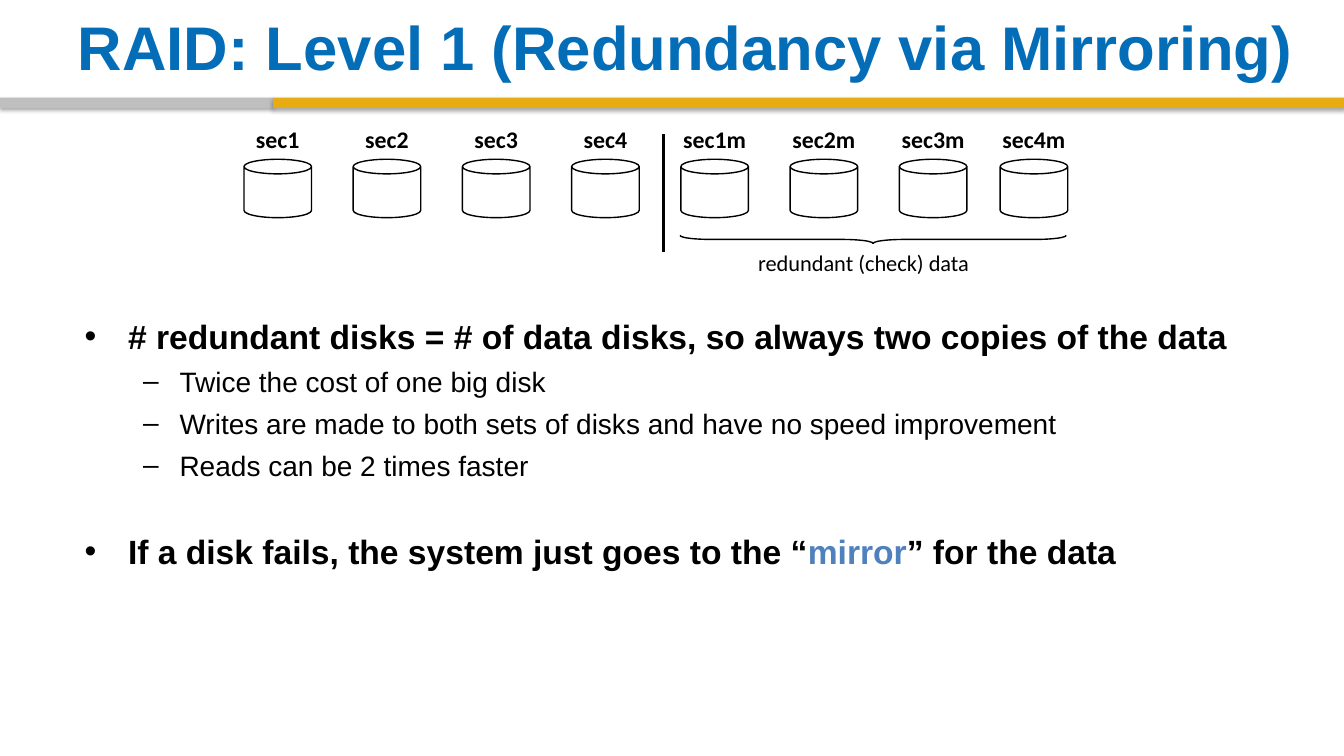
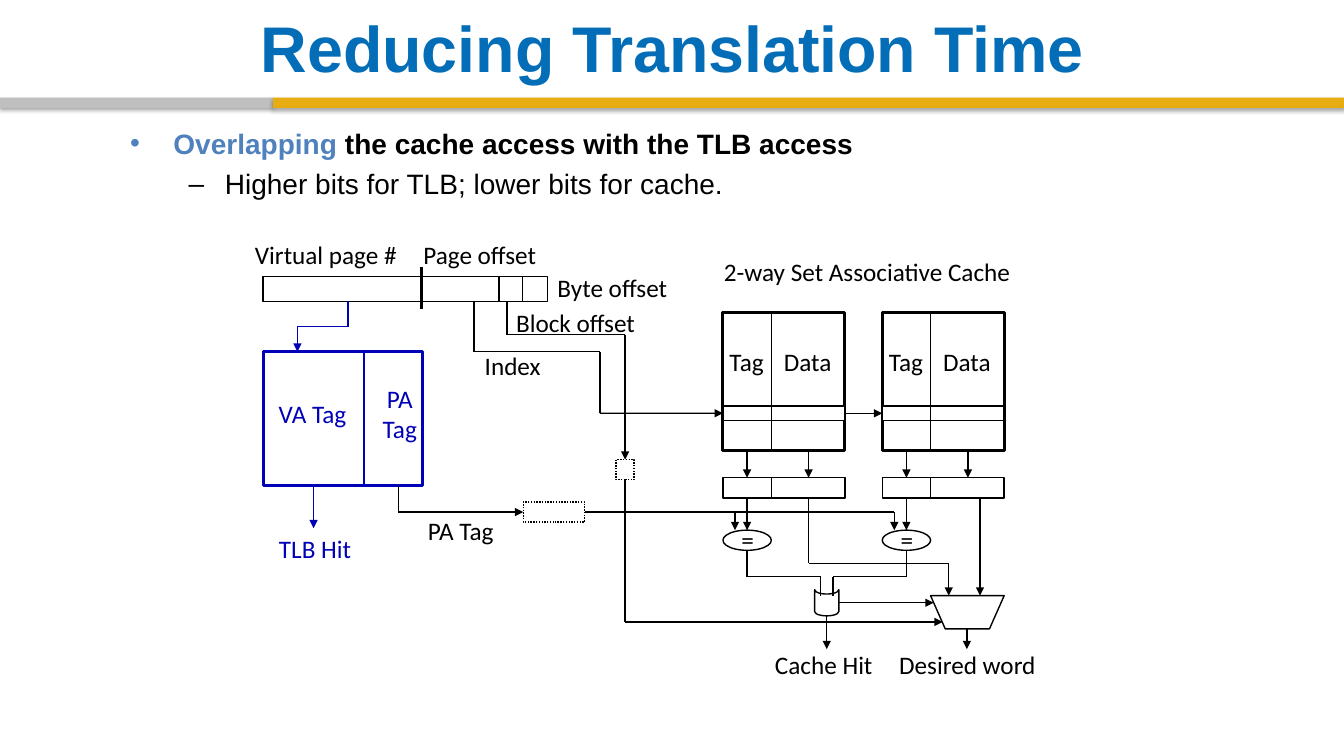
import pptx
import pptx.dml.color
import pptx.enum.dml
import pptx.enum.shapes
import pptx.enum.text
import pptx.oxml.ns
import pptx.util
from lxml import etree

SHAPE = pptx.enum.shapes.MSO_SHAPE
ALIGN = pptx.enum.text.PP_ALIGN
ANCHOR = pptx.enum.text.MSO_ANCHOR
FIT = pptx.enum.text.MSO_AUTO_SIZE
qn = pptx.oxml.ns.qn
inch = pptx.util.Inches

WIDE, HIGH = 13.33, 7.5
BLUE, GOLD, GREY = "036DB7", "E7AC11", "BFBFBF"
ACCENT, NAVY, BLACK, WHITE = "4F81BD", "0000B6", "000000", "FFFFFF"
HEAD, LABEL = "Arial", "Calibri"

# Text between asterisks takes the accent colour.
RAID = {
    "title": "RAID: Level 1 (Redundancy via Mirroring)",
    "body": [  # level, space before, size, text
        (0, 0, 24, "# redundant disks = # of data disks, so always two copies of the data"),
        (1, 6, 20, "Twice the cost of one big disk"),
        (1, 6, 20, "Writes are made to both sets of disks and have no speed improvement"),
        (1, 6, 20, "Reads can be 2 times faster"),
        (0, 35, 24, "If a disk fails, the system just goes to the “*mirror*” for the data"),
    ],
    "disks": ["sec1", "sec2", "sec3", "sec4", "sec1m", "sec2m", "sec3m", "sec4m"],
}
CACHE = {
    "title": "Reducing Translation Time",
    "body": [
        (0, 0, 20, "*Overlapping* the cache access with the TLB access"),
        (1, 5, 20, "Higher bits for TLB; lower bits for cache."),
    ],
    "centred": [  # text, left, top, width, height, colour
        ("Cache Hit", 7.58, 6.39, 1.18, 0.4, BLACK),
        ("Desired word", 8.81, 6.39, 1.57, 0.4, BLACK),
        ("VA Tag", 2.66, 3.9, 0.88, 0.4, NAVY),
        ("PA\nTag", 3.69, 3.75, 0.55, 0.71, NAVY),
        ("TLB Hit", 2.66, 5.24, 0.93, 0.4, NAVY),
        ("2-way Set Associative Cache", 7.03, 2.49, 3.14, 0.4, BLACK),
        ("Index", 4.21, 3.43, 1.75, 0.4, BLACK),
        ("PA Tag", 3.78, 5.06, 1.58, 0.4, BLACK),
    ],
    "left": [  # text, left, top
        ("Block offset", 5.02, 3), ("Page offset", 4.1, 2.32),
        ("Virtual page #", 2.43, 2.32), ("Byte offset", 5.43, 2.65),
    ],
}
INDENT = [(0.43, -0.43), (0.94, -0.36)]


def rgb(code):
    return pptx.dml.color.RGBColor.from_string(code)


def place(shape, x, y, w, h):
    shape.left, shape.top, shape.width, shape.height = map(inch, (x, y, w, h))


def write(para, text, size=18, font=LABEL, color=BLACK, bold=False,
          align=None, before=0, lines=None):
    para.alignment, para.line_spacing = align, lines
    para.space_before = pptx.util.Pt(before)
    for i, part in enumerate(text.split("*")):
        if part:
            run = para.add_run()
            run.text = part
            run.font.size, run.font.name, run.font.bold = pptx.util.Pt(size), font, bold
            run.font.color.rgb = rgb(ACCENT if i % 2 else color)


def label(slide, text, x, y, w, h, wrap=False, anchor=ANCHOR.MIDDLE,
          pad=(0.1, 0.05), **style):
    box = slide.shapes.add_textbox(*map(inch, (x, y, w, h)))
    frame = box.text_frame
    frame.word_wrap, frame.auto_size = wrap, FIT.SHAPE_TO_FIT_TEXT
    frame.vertical_anchor = anchor
    frame.margin_left = frame.margin_right = inch(pad[0])
    frame.margin_top = frame.margin_bottom = inch(pad[1])
    for i, line in enumerate(text.split("\n")):
        write(frame.add_paragraph() if i else frame.paragraphs[0], line, **style)


def draw(slide, kind, x, y, w, h, fill=WHITE, line=BLACK, width=1, dots=False, turn=0):
    shape = slide.shapes.add_shape(kind, *map(inch, (x, y, w, h)))
    shape.shadow.inherit = False
    shape.rotation = turn
    if fill:
        shape.fill.solid()
        shape.fill.fore_color.rgb = rgb(fill)
    else:
        shape.fill.background()
    if line:
        shape.line.color.rgb = rgb(line)
        shape.line.width = pptx.util.Pt(width)
        if dots:
            shape.line.dash_style = pptx.enum.dml.MSO_LINE.ROUND_DOT
    else:
        shape.line.fill.background()
    return shape


def route(slide, *points, color=BLACK, width=1, arrow=False, start=None, end=None):
    """Join points by straight lines; start and end are (shape, side) pairs."""
    for a, b in zip(points, points[1:]):
        link = slide.shapes.add_connector(
            pptx.enum.shapes.MSO_CONNECTOR.STRAIGHT, *map(inch, a + b))
        link.line.color.rgb = rgb(color)
        link.line.width = pptx.util.Pt(width)
        props = link.element.spPr
        etree.SubElement(props, qn("a:effectLst"))
        if start and a == points[0]:
            link.begin_connect(*start)
        if b == points[-1]:
            if end:
                link.end_connect(*end)
            if arrow:
                etree.SubElement(props.find(qn("a:ln")), qn("a:tailEnd"), type="triangle")


def shade(shape):
    effect = shape.element.spPr.find(qn("a:effectLst"))
    cast = etree.SubElement(effect, qn("a:outerShdw"), blurRad="39370", dist="22860",
                            dir="5400000", rotWithShape="0")
    tint = etree.SubElement(cast, qn("a:srgbClr"), val=BLACK)
    etree.SubElement(tint, qn("a:alpha"), val="35000")


def stripe(slide, layout):
    """Make the two bands and hand them to the layout."""
    split = 2.71
    for x, w, color in [(0, split, GREY), (split, WIDE - split, GOLD)]:
        band = draw(slide, SHAPE.RECTANGLE, x, 0.97, w, 0.1, fill=color, line=None)
        shade(band)
        layout.shapes.element.append(band.element)


def fill(slide, data, size, title, body):
    """Set the title and the list in their placeholders."""
    head, text = slide.shapes.title, slide.placeholders[1]
    place(head, *title)
    place(text, *body)
    for box, anchor in [(head, ANCHOR.MIDDLE), (text, ANCHOR.TOP)]:
        box.text_frame.auto_size = FIT.NONE
        box.text_frame.vertical_anchor = anchor
    write(head.text_frame.paragraphs[0], data["title"], size=size, font=HEAD,
          color=BLUE, bold=True, align=ALIGN.CENTER)
    frame = text.text_frame
    for i, (level, before, points, words) in enumerate(data["body"]):
        para = frame.add_paragraph() if i else frame.paragraphs[0]
        para.level = level
        props = para._p.get_or_add_pPr()
        for key, value in zip(("marL", "indent"), INDENT[level]):
            props.set(key, str(int(inch(value))))
        write(para, words, size=points, font=HEAD, bold=level == 0, before=before)


def mirror(slide):
    fill(slide, RAID, 44, (0.67, 0.08, 12.27, 0.76), (0.74, 3.08, 11.76, 4.01))
    names = RAID["disks"]
    first, last, size = 2.42, 9.92, 0.67
    step = 13 / 12
    for i, name in enumerate(names):
        x = min(first + i * step, last)
        draw(slide, SHAPE.CAN, x, 1.58, size, 0.58, fill=None)
        w = 0.77 if name.endswith("m") else 0.58
        label(slide, name, x + (size - w) / 2, 1.25, w, 0.3, pad=(0.07, 0.03),
              anchor=ANCHOR.TOP, size=17, bold=True, align=ALIGN.CENTER, lines=0.85)
    route(slide, (6.58, 1.33), (6.58, 2.5), width=2.25)
    brace = draw(slide, SHAPE.LEFT_BRACE, 8.62, 0.46, 0.08, 3.83, fill=None, turn=270)
    brace.adjustments[0], brace.adjustments[1] = 3.83, 0.5
    label(slide, "redundant (check) data", 7.42, 2.42, 2.32, 0.37,
          anchor=ANCHOR.TOP, size=16)


def way(slide, x):
    """Draw one way of the cache and return its selected row."""
    wide, tag, data = 1.21, x + 0.24, x + 0.85
    split = x + 0.48
    box = SHAPE.RECTANGLE
    draw(slide, box, x, 3.1, wide, 1.37, width=2.25)
    row = draw(slide, box, x, 4.03, wide, 0.14)
    draw(slide, box, x, 4.74, wide, 0.2)
    for top, base in [(3.1, 4.47), (4.74, 4.94)]:
        route(slide, (split, top), (split, base))
    for mid in (tag, data):
        route(slide, (mid, 4.47), (mid, 4.74), arrow=True)
    draw(slide, SHAPE.OVAL, x, 5.26, 0.48, 0.2)
    route(slide, (tag, 4.94), (tag, 5.26), arrow=True)
    for text, left, top, w in [("Tag", -0.04, 3.39, 0.55), ("Data", 0.5, 3.39, 0.68),
                               ("=", 0.08, 5.15, 0.33)]:
        label(slide, text, x + left, top, w, 0.4, align=ALIGN.CENTER)
    return row


def overlap(slide):
    fill(slide, CACHE, 46.1, (0.67, 0.08, 12, 0.76), (1.19, 1.2, 8.38, 1.22))
    box = SHAPE.RECTANGLE
    one, two = way(slide, 7.17), way(slide, 8.75)

    # Address fields and the TLB
    draw(slide, box, 2.61, 2.74, 2.82, 0.25)
    for x in (4.95, 5.18):
        route(slide, (x, 2.74), (x, 2.99))
    route(slide, (4.18, 2.65), (4.18, 3.07), width=2.25)
    draw(slide, box, 2.61, 3.49, 1.58, 1.33, line=NAVY, width=2.25)
    route(slide, (3.61, 3.49), (3.61, 4.82), color=NAVY)
    route(slide, (3.45, 2.99), (3.45, 3.24), (2.95, 3.24), (2.95, 3.49),
          color=NAVY, arrow=True)
    route(slide, (3.11, 4.82), (3.11, 5.24), color=NAVY, arrow=True)

    # Index, page tag and block offset
    route(slide, (4.7, 2.99), (4.7, 3.49), (5.95, 3.49), (5.95, 4.1), (7.17, 4.1),
          arrow=True, end=(one, 1))
    route(slide, (8.38, 4.1), (8.75, 4.1), arrow=True, start=(one, 3), end=(two, 1))
    page = draw(slide, box, 5.19, 4.98, 0.61, 0.2, dots=True)
    block = draw(slide, box, 6.11, 4.56, 0.18, 0.2, dots=True)
    route(slide, (3.95, 4.82), (3.95, 5.08), (5.19, 5.08), arrow=True, end=(page, 1))
    route(slide, (5.8, 5.08), (8.87, 5.08), (8.87, 5.26), arrow=True, start=(page, 3))
    route(slide, (7.29, 5.08), (7.29, 5.26), arrow=True)
    route(slide, (5.03, 2.99), (5.03, 3.32), (6.2, 3.32), (6.2, 4.56),
          arrow=True, end=(block, 0))
    route(slide, (6.2, 4.76), (6.2, 6.17), (9.35, 6.17), arrow=True, start=(block, 2))

    # Hit gate and word selector
    draw(slide, SHAPE.FLOWCHART_STORED_DATA, 8.07, 5.86, 0.26, 0.24, turn=270)
    draw(slide, SHAPE.FLOWCHART_MANUAL_OPERATION, 9.23, 5.91, 0.73, 0.33)
    for tag, gate in [(7.41, 8.14), (8.99, 8.26)]:
        route(slide, (tag, 5.46), (tag, 5.72), (gate, 5.72), (gate, 5.91))
    route(slide, (8.02, 4.94), (8.02, 5.59), (9.41, 5.59), (9.41, 5.91), arrow=True)
    for a, b in [((9.72, 4.94), (9.72, 5.91)), ((8.32, 5.98), (9.26, 5.98)),
                 ((8.2, 6.11), (8.2, 6.44)), ((9.59, 6.24), (9.59, 6.44))]:
        route(slide, a, b, arrow=True)

    for text, x, y, w, h, color in CACHE["centred"]:
        label(slide, text, x, y, w, h, color=color, align=ALIGN.CENTER)
    for text, x, y in CACHE["left"]:
        label(slide, text, x, y, 1.92, 0.4, wrap=True)


def main():
    deck = pptx.Presentation()
    deck.slide_width, deck.slide_height = inch(WIDE), inch(HIGH)
    layout = deck.slide_layouts[1]
    for spare in list(layout.placeholders)[2:]:
        layout.shapes.element.remove(spare.element)
    slides = [deck.slides.add_slide(layout) for _ in range(2)]
    stripe(slides[0], layout)
    mirror(slides[0])
    overlap(slides[1])
    deck.save("out.pptx")


if __name__ == "__main__":
    main()
